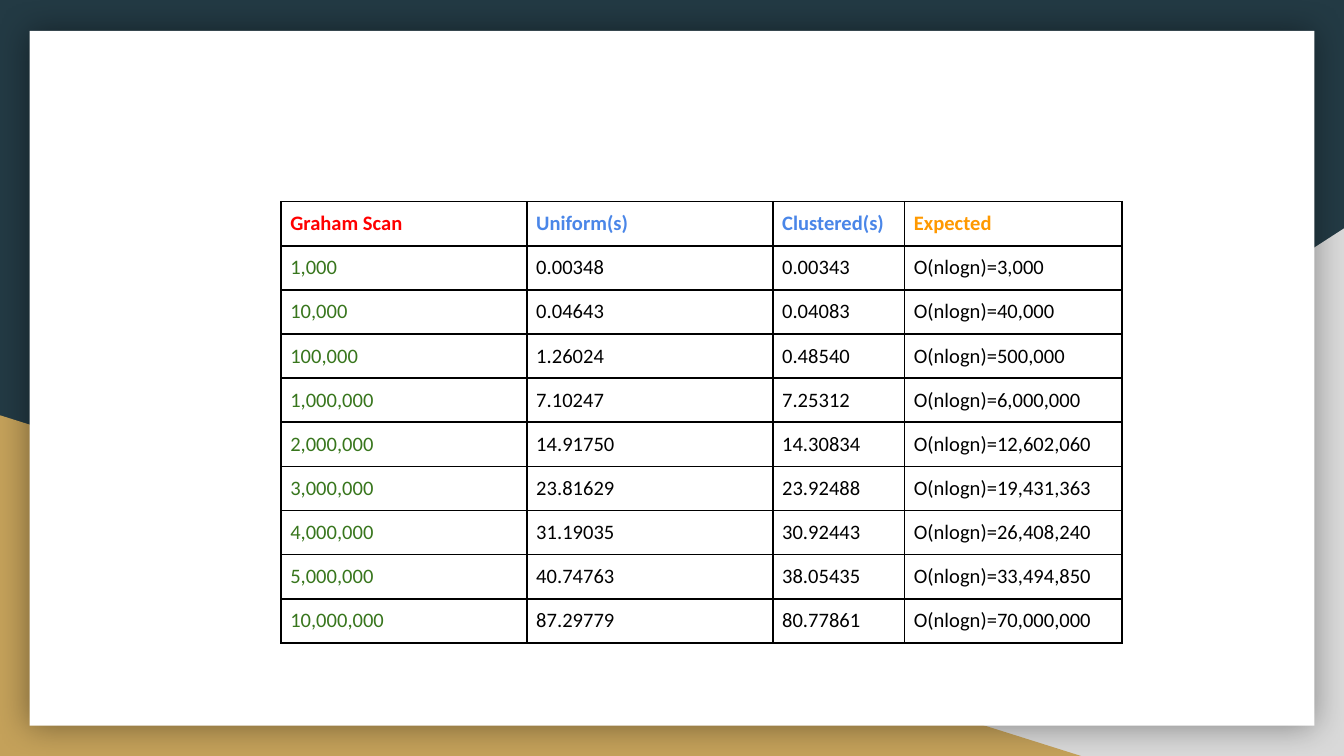
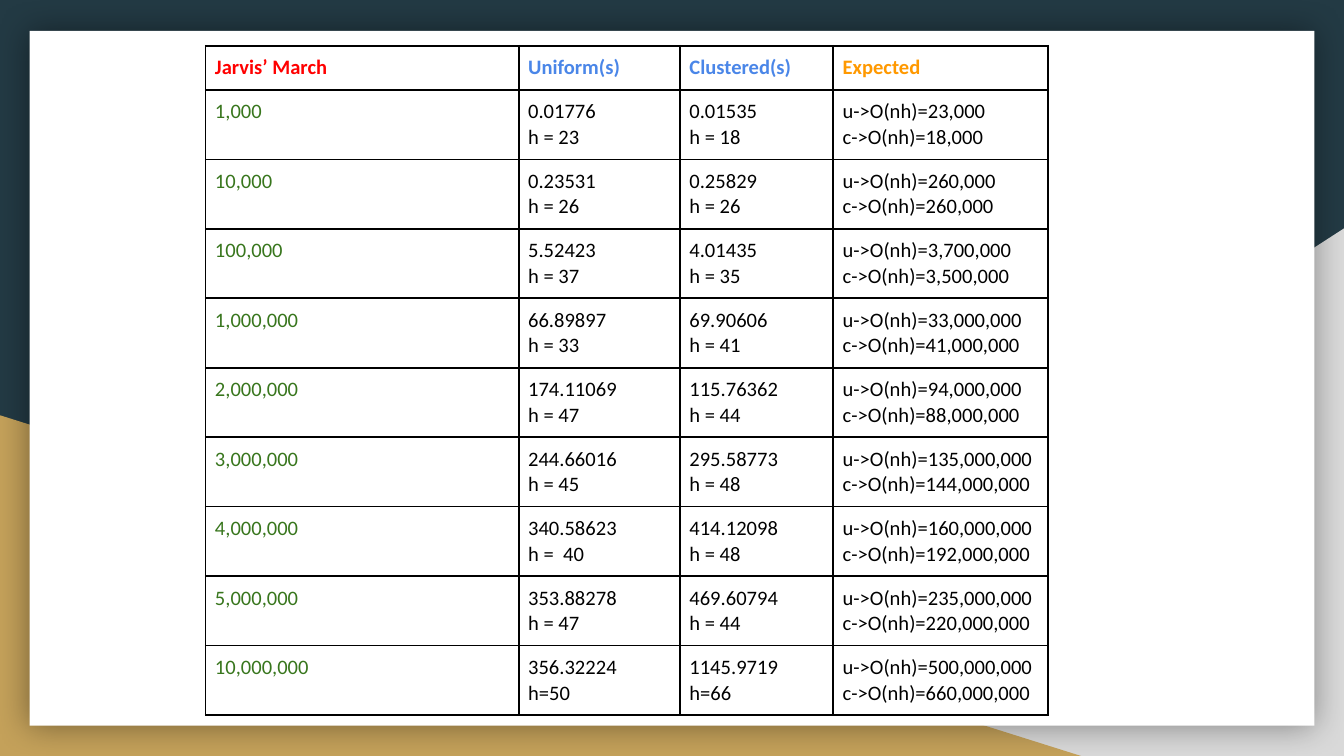
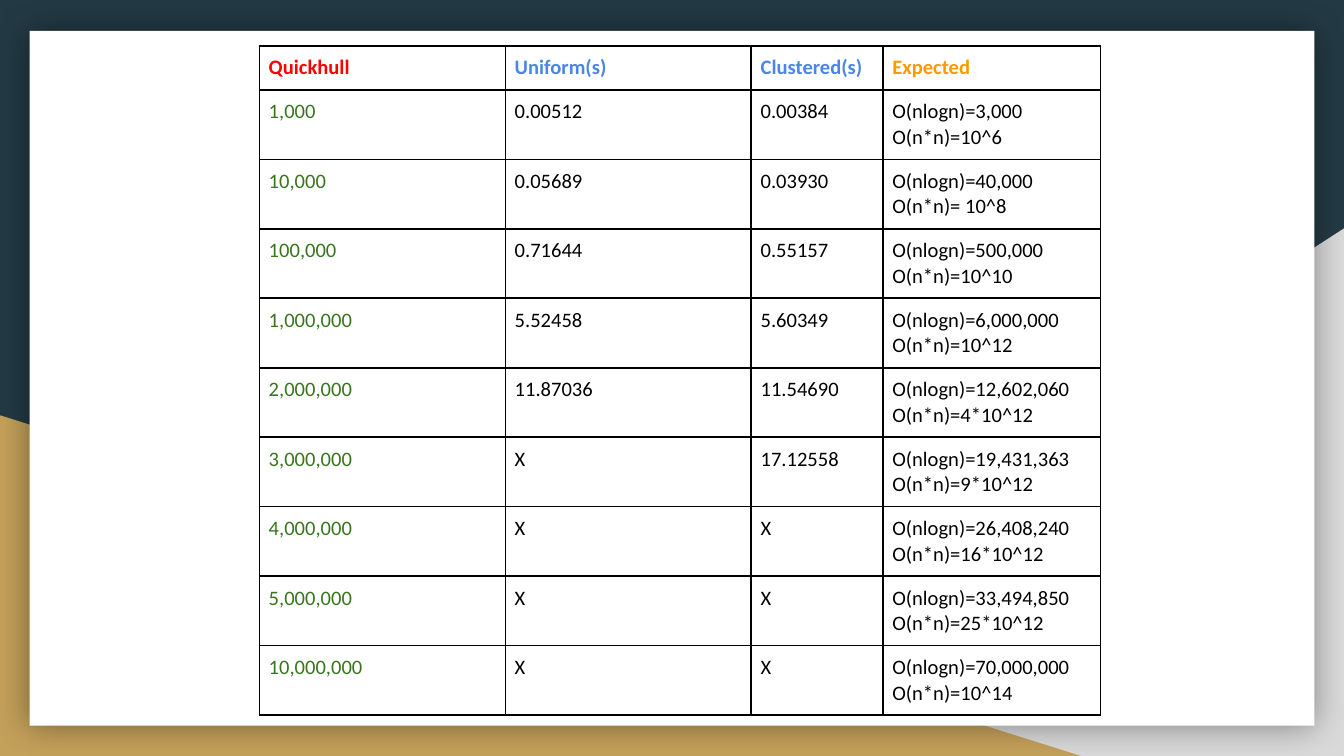
from lxml import etree
from pptx import Presentation
from pptx.dml.color import RGBColor
from pptx.enum.shapes import MSO_SHAPE
from pptx.oxml.ns import qn
from pptx.util import Inches, Pt

RECT = MSO_SHAPE.RECTANGLE
WEDGE = MSO_SHAPE.RIGHT_TRIANGLE

# Slide size, 16 to 9
WIDTH = 10
HEIGHT = WIDTH * 9 / 16

# Colours and type
NAVY = RGBColor(0x23, 0x3A, 0x44)
GREY = RGBColor(0xD9, 0xD9, 0xD9)
GOLD = RGBColor(0xC4, 0xA1, 0x5A)
WHITE = RGBColor(0xFF, 0xFF, 0xFF)
BLACK = RGBColor(0x00, 0x00, 0x00)
RED = RGBColor(0xFF, 0x00, 0x00)
BLUE = RGBColor(0x4A, 0x86, 0xE8)
AMBER = RGBColor(0xFF, 0x99, 0x00)
GREEN = RGBColor(0x38, 0x76, 0x1D)
FONT = "Calibri"

# Table measures, in inches
INSET = 0.07
LINE = 0.18
WIDE = (1.83, 1.83, 0.98, 1.62)
JARVIS_WIDTHS = (2.33, 1.2, 1.14, 1.6)

# Table contents, one entry for each input size
SIZES = ("1,000", "10,000", "100,000", "1,000,000", "2,000,000",
         "3,000,000", "4,000,000", "5,000,000", "10,000,000")
NLOGN = ("3,000", "40,000", "500,000", "6,000,000", "12,602,060",
         "19,431,363", "26,408,240", "33,494,850", "70,000,000")
SQUARES = ("10^6", " 10^8", "10^10", "10^12", "4*10^12",
           "9*10^12", "16*10^12", "25*10^12", "10^14")

GRAHAM = (
    ("0.00348", "0.04643", "1.26024", "7.10247", "14.91750",
     "23.81629", "31.19035", "40.74763", "87.29779"),
    ("0.00343", "0.04083", "0.48540", "7.25312", "14.30834",
     "23.92488", "30.92443", "38.05435", "80.77861"),
    [f"O(nlogn)={n}" for n in NLOGN],
)
JARVIS = (
    ("0.01776\nh = 23", "0.23531\nh = 26", "5.52423\nh = 37",
     "66.89897\nh = 33", "174.11069\nh = 47", "244.66016\nh = 45",
     "340.58623\nh =  40", "353.88278\nh = 47", "356.32224\nh=50"),
    ("0.01535\nh = 18", "0.25829\nh = 26", "4.01435\nh = 35",
     "69.90606\nh = 41", "115.76362\nh = 44", "295.58773\nh = 48",
     "414.12098\nh = 48", "469.60794\nh = 44", "1145.9719\nh=66"),
    [f"u->O(nh)={u}\nc->O(nh)={c}" for u, c in (
        ("23,000", "18,000"), ("260,000", "260,000"),
        ("3,700,000", "3,500,000"), ("33,000,000", "41,000,000"),
        ("94,000,000", "88,000,000"), ("135,000,000", "144,000,000"),
        ("160,000,000", "192,000,000"), ("235,000,000", "220,000,000"),
        ("500,000,000", "660,000,000"))],
)
QUICKHULL = (
    ("0.00512", "0.05689", "0.71644", "5.52458", "11.87036",
     "X", "X", "X", "X"),
    ("0.00384", "0.03930", "0.55157", "5.60349", "11.54690",
     "17.12558", "X", "X", "X"),
    [f"O(nlogn)={n}\nO(n*n)={s}" for n, s in zip(NLOGN, SQUARES)],
)


def put_text(frame, text, size=11, color=BLACK, bold=False):
    """Fill a text frame, one paragraph for each line."""
    frame.text = text
    for para in frame.paragraphs:
        font = para.runs[0].font
        font.name, font.size, font.bold = FONT, Pt(size), bold
        font.color.rgb = color


def add_block(slide, kind, box, color):
    """Add a plain filled shape."""
    block = slide.shapes.add_shape(kind, *map(Inches, box))
    block.shadow.inherit = False
    block.fill.solid()
    block.fill.fore_color.rgb = color
    block.line.fill.background()
    return block


def add_glow(shape, blur, alpha):
    """Give a shape a soft black shadow on all sides."""
    effects = shape.element.spPr.find(qn("a:effectLst"))
    glow = etree.SubElement(effects, qn("a:outerShdw"), blurRad=str(Pt(blur)),
                            dist="0", dir="0", algn="ctr", rotWithShape="0")
    tint = etree.SubElement(glow, qn("a:srgbClr"), val=str(BLACK))
    etree.SubElement(tint, qn("a:alpha"), val=str(alpha * 1000))


def add_frame(slide):
    """Draw the corner wedges and the white panel."""
    right = add_block(slide, WEDGE, (3.92, 1.7, 6.08, 3.93), GREY)
    right.element.spPr.find(qn("a:xfrm")).set("flipH", "1")
    add_block(slide, WEDGE, (0, 3.09, 8.06, 2.54), GOLD)
    panel = add_block(slide, RECT, (0.22, 0.23, 9.56, 5.17), WHITE)
    add_glow(panel, 18, 40)


def style_cell(cell):
    """Set insets, thin black borders and no fill."""
    cell.margin_left = cell.margin_right = Inches(INSET)
    cell.margin_top = cell.margin_bottom = Inches(INSET)
    props = cell._tc.get_or_add_tcPr()
    for side in ("lnL", "lnR", "lnT", "lnB"):
        edge = etree.SubElement(props, qn(f"a:{side}"), w=str(Pt(1)))
        fill = etree.SubElement(edge, qn("a:solidFill"))
        etree.SubElement(fill, qn("a:srgbClr"), val=str(BLACK))
    cell.fill.background()


def add_timings(slide, name, data, left, top, widths):
    """Add one algorithm's table of run times."""
    rows = [(name, "Uniform(s)", "Clustered(s)", "Expected")]
    rows += zip(SIZES, *data)
    highs = [2 * INSET + LINE * max(len(text.split("\n")) for text in row)
             for row in rows]
    frame = slide.shapes.add_table(
        len(rows), len(widths), Inches(left), Inches(top),
        Inches(sum(widths)), Inches(sum(highs)))
    table = frame.table
    table.first_row = table.horz_banding = False
    for col, width in zip(table.columns, widths):
        col.width = Inches(width)
    for r, row in enumerate(rows):
        table.rows[r].height = Inches(highs[r])
        head = r == 0
        colors = (RED, BLUE, BLUE, AMBER) if head else (GREEN,) + (BLACK,) * 3
        for c, text in enumerate(row):
            cell = table.cell(r, c)
            style_cell(cell)
            put_text(cell.text_frame, text, color=colors[c], bold=head)


def main():
    deck = Presentation()
    deck.slide_width, deck.slide_height = Inches(WIDTH), Inches(HEIGHT)
    back = deck.slide_master.background.fill
    back.solid()
    back.fore_color.rgb = NAVY
    blank = deck.slide_layouts[6]

    # One slide for each algorithm
    for name, data, left, top, widths in (
            ("Graham Scan", GRAHAM, 2.09, 1.5, WIDE),
            ("Jarvis’ March", JARVIS, 1.53, 0.34, JARVIS_WIDTHS),
            ("Quickhull", QUICKHULL, 1.93, 0.34, WIDE)):
        slide = deck.slides.add_slide(blank)
        add_frame(slide)
        add_timings(slide, name, data, left, top, widths)

    deck.save("out.pptx")


if __name__ == "__main__":
    main()
